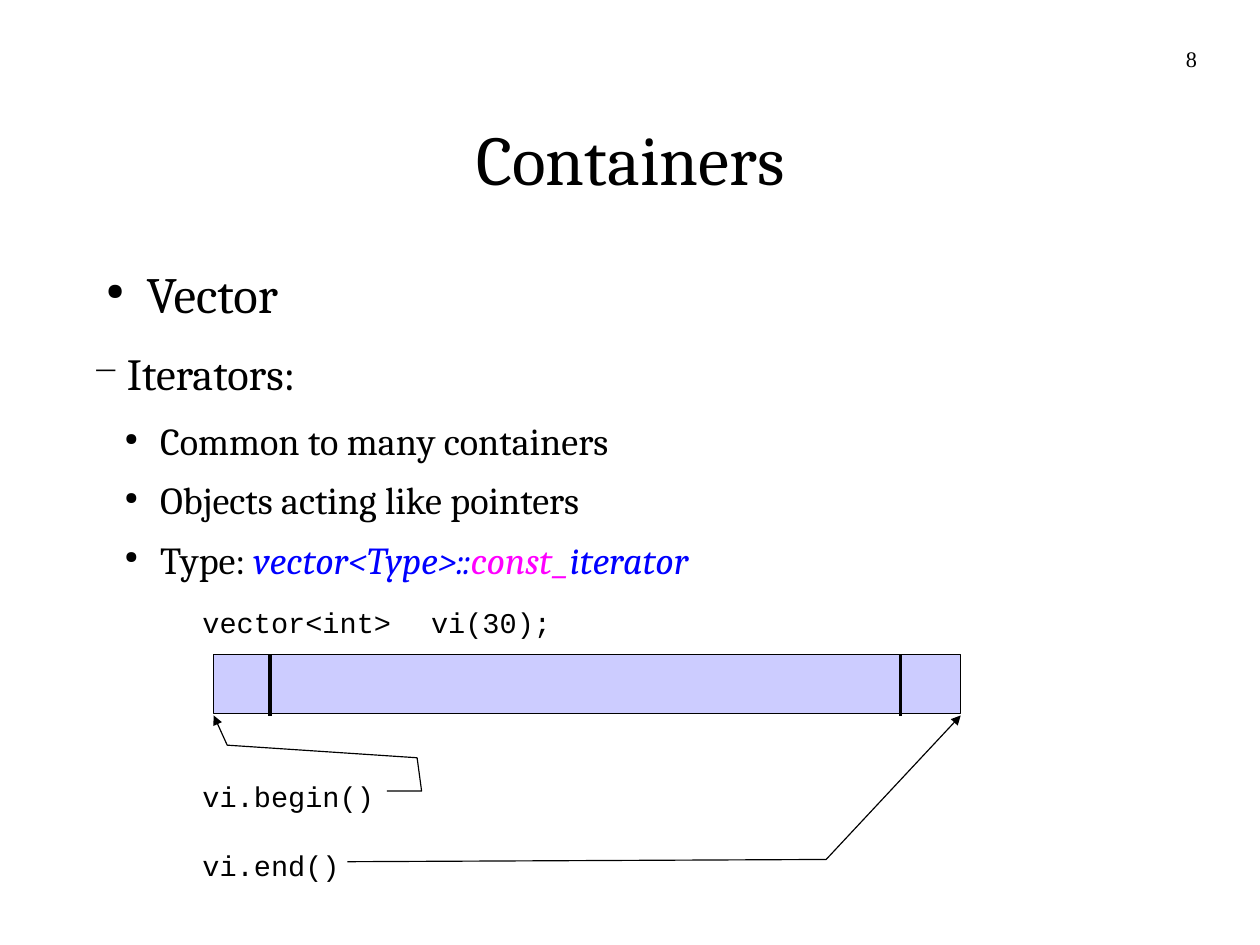
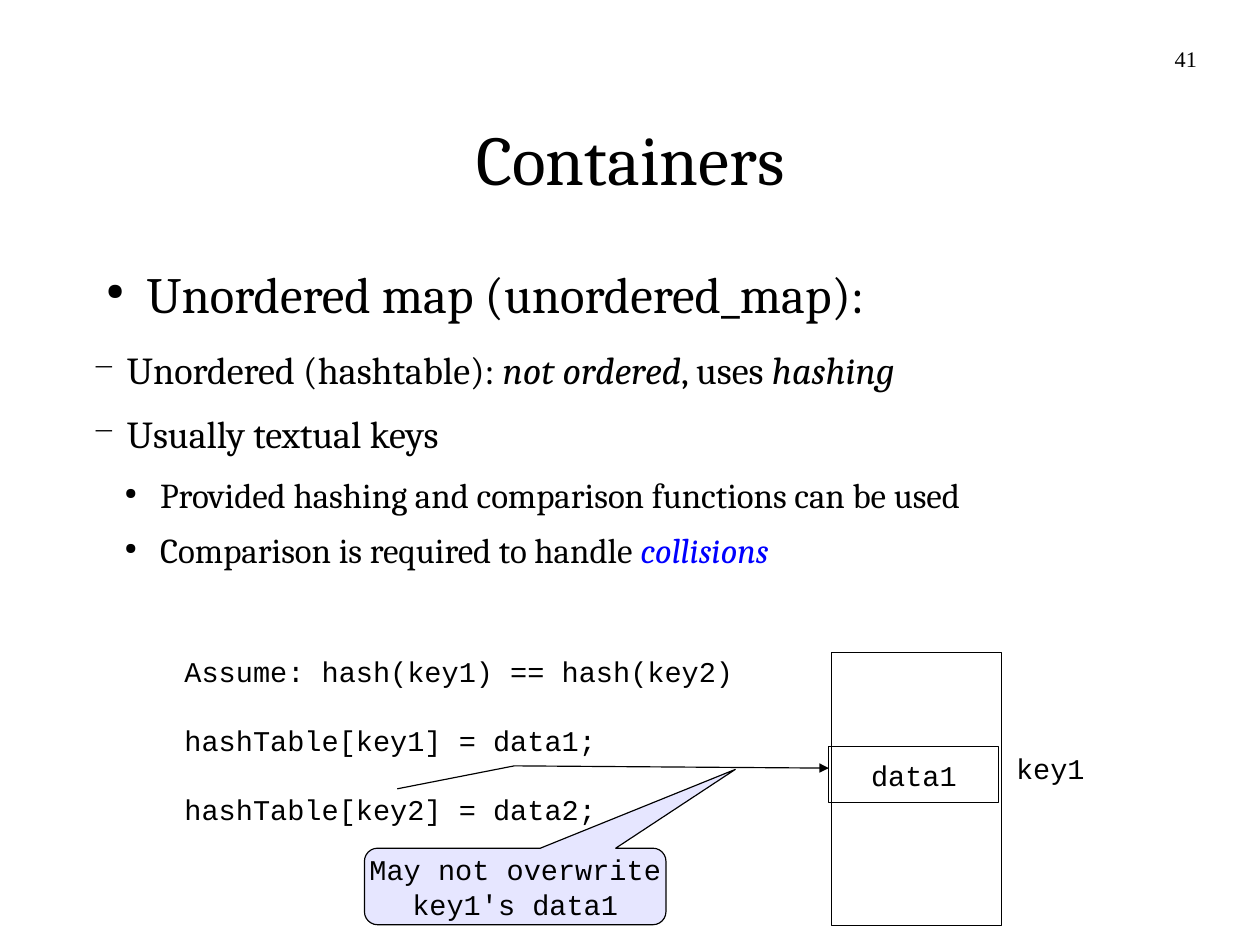
from dataclasses import dataclass

from lxml.etree import SubElement
from pptx import Presentation
from pptx.dml.color import RGBColor
from pptx.enum.shapes import MSO_CONNECTOR, MSO_SHAPE
from pptx.enum.text import MSO_ANCHOR as Anchor, MSO_AUTO_SIZE as AutoSize, PP_ALIGN as Align
from pptx.oxml.ns import qn
from pptx.util import Cm, Pt


@dataclass(frozen=True)
class Theme:
    black: str = "000000"
    blue: str = "0000FF"
    magenta: str = "FF00FF"
    vector_fill: str = "CCCCFF"
    callout_fill: str = "E6E6FF"
    serif: str = "Cambria"
    mono: str = "Courier New"
    number_font: str = "Times New Roman"
    title_size: int = 44
    topic_size: int = 32
    code_size: int = 18
    number_size: int = 14
    code_gap: int = 22


@dataclass(frozen=True)
class BulletLevel:
    margin: float
    indent: float
    after: float
    symbol: str
    percent: int


THEME = Theme()
LEVELS = (
    BulletLevel(1.2, -0.9, 14.2, "●", 45),
    BulletLevel(0.76, -0.76, 11.3, "−", 75),
    BulletLevel(1.5, -0.79, 8.5, "●", 45),
)
TITLE_ONLY = 5


def rgb(color):
    return RGBColor.from_string(color)


def add_run(paragraph, text, font, size, color=THEME.black, italic=False):
    run = paragraph.add_run()
    run.text = text
    run.font.name = font
    run.font.size = Pt(size)
    run.font.color.rgb = rgb(color)
    run.font.italic = italic


def prepare_frame(shape, anchor=Anchor.TOP, wrap=True):
    """Remove the insets and fix wrapping and anchor of the text frame."""
    frame = shape.text_frame
    frame.margin_left = frame.margin_top = frame.margin_right = frame.margin_bottom = 0
    frame.auto_size = AutoSize.NONE
    frame.vertical_anchor = anchor
    frame.word_wrap = wrap
    return frame


def add_frame(slide, left, top, width, height):
    return prepare_frame(slide.shapes.add_textbox(Cm(left), Cm(top), Cm(width), Cm(height)))


def next_paragraph(frame, index):
    return frame.add_paragraph() if index else frame.paragraphs[0]


def add_titled_slide(presentation, title, number):
    slide = presentation.slides.add_slide(presentation.slide_layouts[TITLE_ONLY])
    shape = slide.shapes.title
    shape.left, shape.top, shape.width, shape.height = Cm(2.06), Cm(1.75), Cm(23.9), Cm(3.5)
    paragraph = prepare_frame(shape, Anchor.MIDDLE).paragraphs[0]
    paragraph.alignment = Align.CENTER
    add_run(paragraph, title, THEME.serif, THEME.title_size)

    paragraph = add_frame(slide, 20.07, 1, 6.53, 1.45).paragraphs[0]
    paragraph.alignment = Align.RIGHT
    add_run(paragraph, number, THEME.number_font, THEME.number_size)
    return slide


def format_bullet(paragraph, level):
    style = LEVELS[level]
    paragraph.level = level
    paragraph.space_after = Pt(style.after)
    properties = paragraph._p.get_or_add_pPr()
    properties.set("marL", str(Cm(style.margin)))
    properties.set("indent", str(Cm(style.indent)))
    color = SubElement(properties, qn("a:buClr"))
    SubElement(color, qn("a:srgbClr"), val=THEME.black)
    SubElement(properties, qn("a:buSzPct"), val=str(style.percent * 1000))
    SubElement(properties, qn("a:buChar"), char=style.symbol)


def add_bullets(slide, bullets):
    """Each bullet is a level, a type size and runs of (text, colour, italic)."""
    frame = add_frame(slide, 2.06, 5.84, 23.9, 8)
    for index, (level, size, *runs) in enumerate(bullets):
        paragraph = next_paragraph(frame, index)
        format_bullet(paragraph, level)
        for text, *style in runs:
            add_run(paragraph, text, THEME.serif, size, *style)


def add_code(slide, left, top, width, height, lines):
    """Each line is its text and the number of line gaps above it."""
    frame = add_frame(slide, left, top, width, height)
    for index, (text, gaps) in enumerate(lines):
        paragraph = next_paragraph(frame, index)
        paragraph.space_before = Pt(gaps * THEME.code_gap)
        if "\t" in text:
            tabs = SubElement(paragraph._p.get_or_add_pPr(), qn("a:tabLst"))
            SubElement(tabs, qn("a:tab"), pos=str(Cm(5.08)), algn="l")
        add_run(paragraph, text, THEME.mono, THEME.code_size)


def format_line(line):
    line.color.rgb = rgb(THEME.black)
    line.width = Pt(0)


def add_box(slide, left, top, width, height, fill=None, lines=(), kind=MSO_SHAPE.RECTANGLE):
    shape = slide.shapes.add_shape(kind, Cm(left), Cm(top), Cm(width), Cm(height))
    shape.shadow.inherit = False
    if fill:
        shape.fill.solid()
        shape.fill.fore_color.rgb = rgb(fill)
    else:
        shape.fill.background()
    format_line(shape.line)
    frame = prepare_frame(shape, Anchor.MIDDLE, wrap=False)
    for index, text in enumerate(lines):
        paragraph = next_paragraph(frame, index)
        paragraph.alignment = Align.CENTER
        add_run(paragraph, text, THEME.mono, THEME.code_size)
    return shape


def add_divider(slide, x, top, bottom):
    connector = slide.shapes.add_connector(
        MSO_CONNECTOR.STRAIGHT, Cm(x), Cm(top), Cm(x), Cm(bottom))
    format_line(connector.line)
    SubElement(connector._element.spPr, qn("a:effectLst"))


def add_bent_arrow(slide, *points):
    start, *rest = [(Cm(x), Cm(y)) for x, y in points]
    builder = slide.shapes.build_freeform(*start)
    builder.add_line_segments(rest, close=False)
    shape = builder.convert_to_shape()
    shape.shadow.inherit = False
    shape.fill.background()
    format_line(shape.line)
    SubElement(shape.line._get_or_add_ln(), qn("a:tailEnd"), type="triangle")


def build_vector_slide(presentation):
    slide = add_titled_slide(presentation, "Containers", "8")
    add_bullets(slide, [
        (0, THEME.topic_size, ("Vector",)),
        (1, 28, ("Iterators:",)),
        (2, 24, ("Common to many containers",)),
        (2, 24, ("Objects acting like pointers",)),
        (2, 24, ("Type: ",), ("vector<Type>::", THEME.blue, True),
         ("const_", THEME.magenta, True), ("iterator", THEME.blue, True)),
    ])
    add_code(slide, 4.5, 13.44, 8.5, 5.9,
             [("vector<int>\tvi(30);", 0), ("vi.begin()", 4), ("vi.end()", 1)])
    left, top, width, height = 4.75, 14.55, 16.6, 1.3
    add_box(slide, left, top, width, height, THEME.vector_fill)
    arrow_end = 15.9
    for x in (6, 20.02):
        add_divider(slide, x, top, arrow_end)
    add_bent_arrow(slide, (8.6, 17.58), (9.37, 17.58), (9.27, 16.84),
                   (5.05, 16.56), (left, arrow_end))
    add_bent_arrow(slide, (7.72, 19.15), (18.36, 19.1), (left + width, arrow_end))


def build_map_slide(presentation):
    slide = add_titled_slide(presentation, "Containers", "41")
    add_bullets(slide, [
        (0, THEME.topic_size, ("Unordered map (unordered_map):",)),
        (1, 24, ("Unordered (hashtable): ",), ("not ordered", THEME.black, True),
         (", uses ",), ("hashing", THEME.black, True)),
        (1, 24, ("Usually textual keys",)),
        (2, 22, ("Provided hashing and comparison functions can be used",)),
        (2, 22, ("Comparison is required to handle ",), ("collisions", THEME.blue, True)),
    ])
    add_code(slide, 4.1, 14.53, 13, 3.68, [
        ("Assume: hash(key1) == hash(key2)", 0),
        ("hashTable[key1] = data1;", 1),
        ("hashTable[key2] = data2;", 1),
    ])
    slot_left, slot_width = 18.42, 3.78
    add_box(slide, 18.47, 14.5, slot_width, 6.07)
    add_box(slide, slot_left, 16.59, slot_width, 1.25, lines=["data1"])
    add_code(slide, 22.58, 16.69, 2, 0.74, [("key1", 0)])
    add_bent_arrow(slide, (8.83, 17.53), (11.43, 17.02), (slot_left, 17.07))
    callout = add_box(slide, 8.1, 18.85, 6.7, 1.7, THEME.callout_fill,
                      ["May not overwrite", "key1's data1"],
                      MSO_SHAPE.ROUNDED_RECTANGULAR_CALLOUT)
    for index, value in enumerate((0.73, -1.53, 0.17)):
        callout.adjustments[index] = value


def main():
    presentation = Presentation()
    presentation.slide_width, presentation.slide_height = Cm(28), Cm(21)
    build_vector_slide(presentation)
    build_map_slide(presentation)
    presentation.save("out.pptx")


if __name__ == "__main__":
    main()
